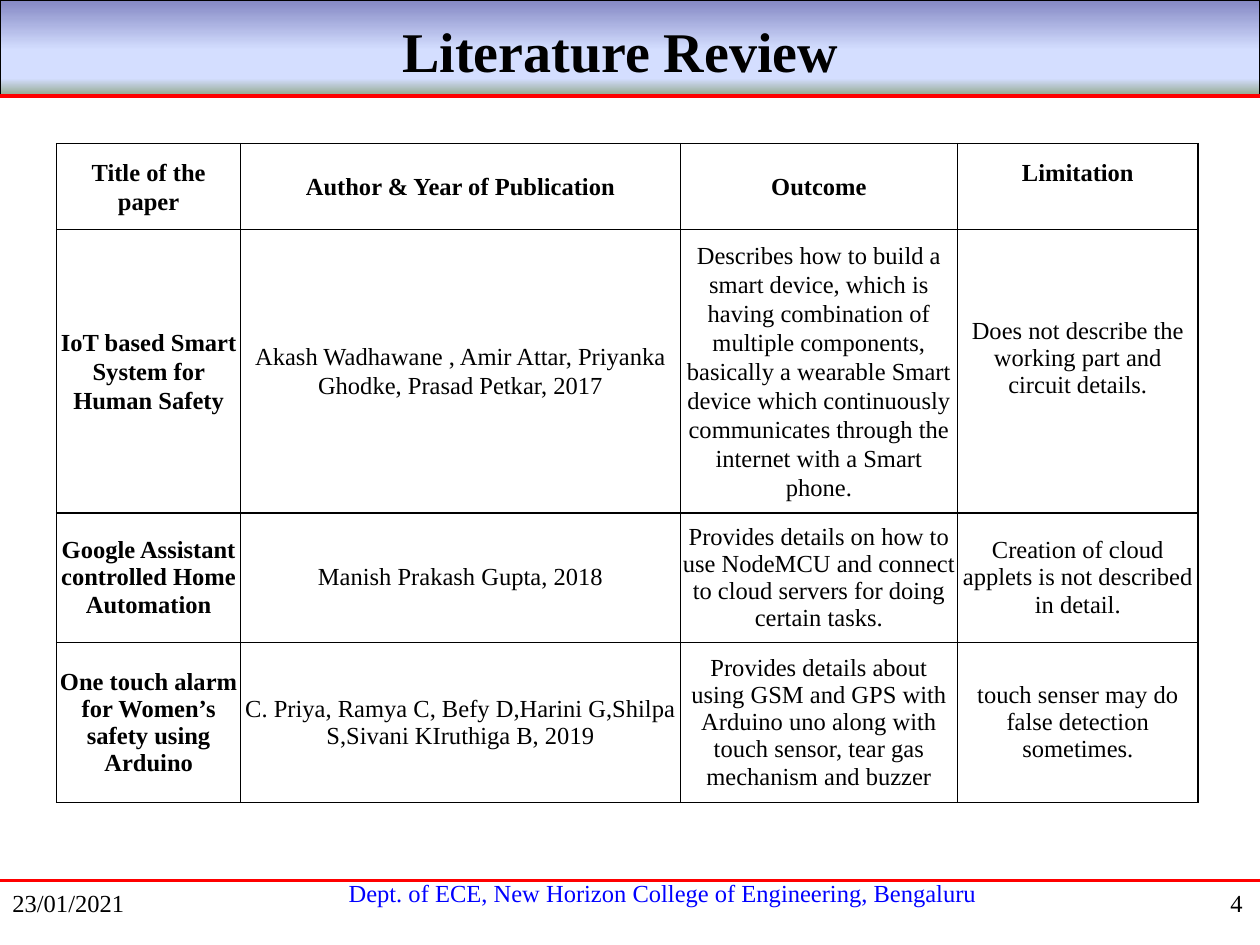
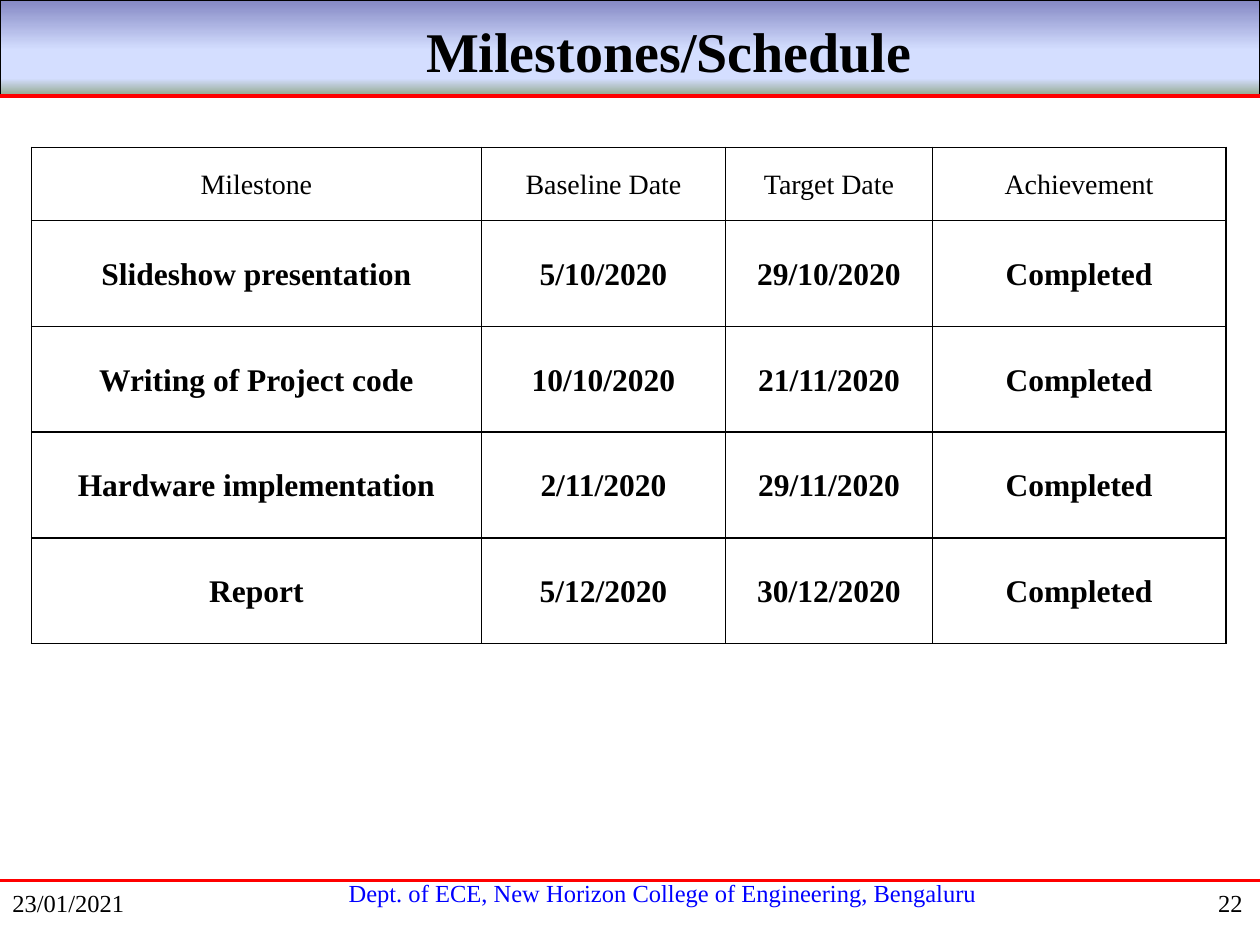
from lxml import etree
from pptx import Presentation
from pptx.dml.color import RGBColor
from pptx.enum.shapes import MSO_CONNECTOR, MSO_SHAPE
from pptx.enum.text import MSO_ANCHOR, PP_ALIGN
from pptx.oxml import parse_xml
from pptx.oxml.ns import nsdecls, qn
from pptx.util import Inches, Pt

FONT = "Times New Roman"
BLACK = RGBColor(0x00, 0x00, 0x00)
WHITE = RGBColor(0xFF, 0xFF, 0xFF)
RED = RGBColor(0xFF, 0x00, 0x00)
BLUE = RGBColor(0x00, 0x00, 0xFF)
BAND_STOPS = [(0, RGBColor(0x84, 0x88, 0xC4)), (53, RGBColor(0xD4, 0xDE, 0xFF)),
              (83, RGBColor(0xD4, 0xDE, 0xFF)), (100, RGBColor(0x96, 0xAB, 0x94))]

# Content
DATE = "23/01/2021"
DEPARTMENT = "Dept. of ECE, New Horizon College of Engineering, Bengaluru"

PAPERS = [
    ("Title of the paper", "Author & Year of Publication", "Outcome", "Limitation"),
    ("IoT based Smart System for Human Safety",
     "Akash Wadhawane , Amir Attar, Priyanka Ghodke, Prasad Petkar, 2017",
     "Describes how to build a smart device, which is having combination of multiple "
     "components, basically a wearable Smart device which continuously\n"
     "communicates through the internet with a Smart phone.",
     "Does not describe the working part and circuit details."),
    ("Google Assistant controlled Home Automation",
     "Manish Prakash Gupta, 2018",
     "Provides details on how to use NodeMCU and connect to cloud servers for doing "
     "certain tasks.",
     "Creation of cloud applets is not described in detail."),
    ("One touch alarm for Women’s safety using Arduino",
     "C. Priya, Ramya C, Befy D,Harini G,Shilpa S,Sivani KIruthiga B, 2019",
     "Provides details about using GSM and GPS with Arduino uno along with touch "
     "sensor, tear gas mechanism and buzzer",
     "touch senser may do false detection sometimes."),
]

MILESTONES = [
    ("Milestone", "Baseline Date", "Target Date", "Achievement"),
    ("Slideshow presentation", "5/10/2020", "29/10/2020", "Completed"),
    ("Writing of Project code", "10/10/2020", "21/11/2020", "Completed"),
    ("Hardware implementation", "2/11/2020", "29/11/2020", "Completed"),
    ("Report", "5/12/2020", "30/12/2020", "Completed"),
]


def style_paragraphs(frame, size, color=BLACK, bold=False, align=PP_ALIGN.CENTER, spacing=None):
    for paragraph in frame.paragraphs:
        paragraph.alignment = align
        paragraph.line_spacing = spacing
        font = paragraph.font
        font.name, font.size, font.bold = FONT, Pt(size), bold
        font.color.rgb = color


def add_rule(slide, y, width):
    rule = slide.shapes.add_connector(
        MSO_CONNECTOR.STRAIGHT, 0, Inches(y), Inches(10), Inches(y))
    rule.line.color.rgb = RED
    rule.line.width = Pt(width)
    etree.SubElement(rule._element.spPr, qn("a:effectLst"))


def add_label(slide, text, left, top, width, height, align, color=BLACK):
    box = slide.shapes.add_textbox(Inches(left), Inches(top), Inches(width), Inches(height))
    box.text_frame.word_wrap = True
    box.text_frame.text = text
    style_paragraphs(box.text_frame, 14, color, align=align)


def add_band(slide):
    band = slide.shapes.add_shape(MSO_SHAPE.RECTANGLE, 0, 0, Inches(10), Inches(0.75))
    band.shadow.inherit = False
    band.line.color.rgb = BLACK
    band.line.width = Pt(0.75)
    stops = "".join(f'<a:gs pos="{pos * 1000}"><a:srgbClr val="{color}"/></a:gs>'
                    for pos, color in BAND_STOPS)
    gradient = parse_xml(f'<a:gradFill {nsdecls("a")} rotWithShape="1"><a:gsLst>{stops}'
                         '</a:gsLst><a:lin ang="5400000" scaled="0"/></a:gradFill>')
    band._element.spPr.find(qn("a:prstGeom")).addnext(gradient)


def new_slide(prs, heading, number, pad_left=0.1, pad_right=0.1):
    """Slide with the shared title band, rules and footer."""
    slide = prs.slides.add_slide(prs.slide_layouts[5])
    add_band(slide)
    add_rule(slide, 0.76, 2.25)
    add_label(slide, DEPARTMENT, 1.72, 6.92, 7.08, 0.33, PP_ALIGN.CENTER, BLUE)
    add_rule(slide, 6.99, 1.5)

    # Title, brought in front of the band
    title = slide.shapes.title
    slide.shapes._spTree.append(title._element)
    title.left, title.top = Inches(0), Inches(0.08)
    title.width, title.height = Inches(9.96), Inches(0.64)
    frame = title.text_frame
    frame.text = heading
    frame.margin_left, frame.margin_right = Inches(pad_left), Inches(pad_right)
    style_paragraphs(frame, 32, bold=True)

    add_label(slide, DATE, 0, 7, 2.08, 0.5, PP_ALIGN.LEFT)
    add_label(slide, str(number), 7.88, 7, 2.08, 0.5, PP_ALIGN.RIGHT)
    return slide


def add_borders(cell):
    properties = cell._tc.get_or_add_tcPr()
    for position, side in enumerate(("lnL", "lnR", "lnT", "lnB")):
        properties.insert(position, parse_xml(
            f'<a:{side} {nsdecls("a")} w="12700"><a:solidFill>'
            f'<a:srgbClr val="{BLACK}"/></a:solidFill></a:{side}>'))


def add_grid(slide, rows, left, top, widths, heights, side_margin):
    """Plain white table with black borders."""
    table = slide.shapes.add_table(
        len(rows), len(widths), Inches(left), Inches(top),
        Inches(sum(widths)), Inches(sum(heights))).table
    table.first_row = table.horz_banding = False
    for column, width in zip(table.columns, widths):
        column.width = Inches(width)
    for r, (row, height) in enumerate(zip(rows, heights)):
        table.rows[r].height = Inches(height)
        for c, text in enumerate(row):
            cell = table.cell(r, c)
            cell.text = text
            cell.vertical_anchor = MSO_ANCHOR.MIDDLE
            cell.margin_left = cell.margin_right = Inches(side_margin)
            cell.margin_top = cell.margin_bottom = 0
            cell.fill.solid()
            cell.fill.fore_color.rgb = WHITE
            add_borders(cell)
    return table


def build_literature(prs):
    slide = new_slide(prs, "Literature Review", 4, pad_right=0.21)
    table = add_grid(slide, PAPERS, 0.45, 1.14, [1.46, 3.49, 2.2, 1.91],
                     [0.68, 2.25, 1.03, 1.27], 0.02)
    for r in range(len(PAPERS)):
        for c in range(len(PAPERS[0])):
            loose = r == 0 or (r == 1 and c < 3)
            style_paragraphs(table.cell(r, c).text_frame, 14, bold=r == 0 or c == 0,
                             spacing=1.07 if loose else None)
    # The first two limitations sit above the middle
    for r, lift in enumerate((0.23, 0.21)):
        table.cell(r, 3).margin_bottom = Inches(lift)


def build_milestones(prs):
    slide = new_slide(prs, "Milestones/Schedule", 22, pad_left=0.76)
    table = add_grid(slide, MILESTONES, 0.25, 1.17, [3.57, 1.94, 1.64, 2.33],
                     [0.58] + [0.84] * 4, 0.06)
    for r, row in enumerate(table.rows):
        for cell in row.cells:
            style_paragraphs(cell.text_frame, 18 if r else 16, bold=r > 0, spacing=1.07)


def main():
    prs = Presentation()
    prs.slide_width, prs.slide_height = Inches(10), Inches(7.5)
    build_literature(prs)
    build_milestones(prs)
    prs.save("out.pptx")


if __name__ == "__main__":
    main()
